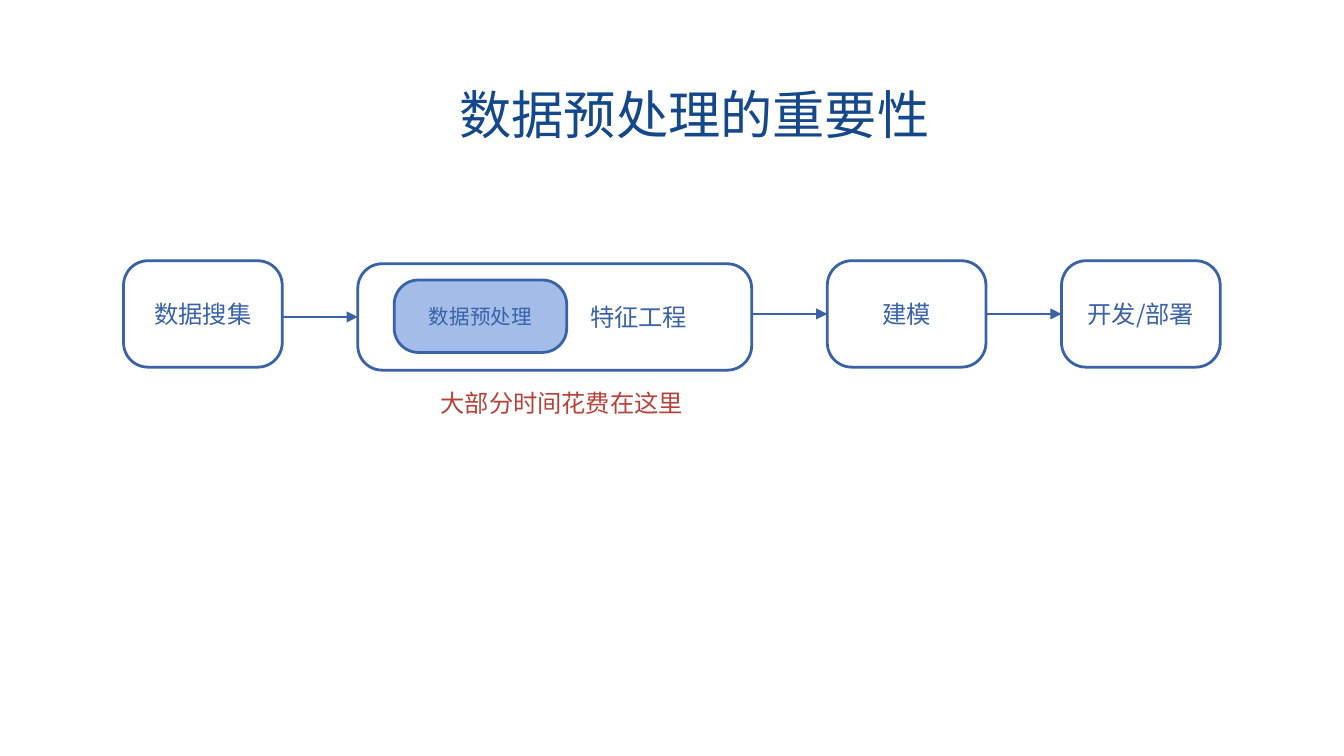
from dataclasses import dataclass

from lxml.etree import SubElement
from pptx import Presentation
from pptx.dml.color import RGBColor
from pptx.enum.shapes import MSO_CONNECTOR, MSO_SHAPE
from pptx.enum.text import MSO_ANCHOR, MSO_AUTO_SIZE, PP_ALIGN
from pptx.oxml.ns import qn
from pptx.util import Pt


@dataclass(frozen=True)
class Theme:
    font: str = "Noto Sans CJK SC"
    title: RGBColor = RGBColor(0x14, 0x48, 0x8A)
    blue: RGBColor = RGBColor(0x39, 0x62, 0xA7)
    highlight: RGBColor = RGBColor(0xA3, 0xBD, 0xE8)
    red: RGBColor = RGBColor(0xB5, 0x42, 0x39)
    white: RGBColor = RGBColor(0xFF, 0xFF, 0xFF)
    title_size: int = 28
    body_size: int = 13
    small_size: int = 11
    line_width: float = 1.5
    inset: float = 3.6
    corner: float = 13


THEME = Theme()

STEP_TOP = 139.7
STEP_HEIGHT = 57
STEP_GAP = 40.5
FEATURE_DROP = 1.6
FEATURE_INSET = 120.6
STEPS = [
    ("数据搜集", 85),
    ("特征工程", 211),
    ("建模", 85),
    ("开发/部署", 85),
]


def write_text(shape, text, size, color, align=PP_ALIGN.CENTER, anchor=MSO_ANCHOR.MIDDLE, wrap=True):
    frame = shape.text_frame
    frame.text = text
    frame.word_wrap = wrap
    frame.vertical_anchor = anchor
    frame.margin_left = frame.margin_right = Pt(THEME.inset)
    frame.margin_top = frame.margin_bottom = Pt(THEME.inset)
    para = frame.paragraphs[0]
    para.alignment = align
    for span in para.runs:
        span.font.size = Pt(size)
        span.font.name = THEME.font
        span.font.color.rgb = color
        SubElement(span.font._element, qn("a:ea"), typeface=THEME.font)
    return frame


def place(shape, left, top, width, height):
    shape.left, shape.top = Pt(left), Pt(top)
    shape.width, shape.height = Pt(width), Pt(height)


def format_title(page, text):
    title = page.shapes.title
    place(title, 242.6, 40.3, 260, 35.3)
    frame = write_text(title, text, THEME.title_size, THEME.title, PP_ALIGN.LEFT, MSO_ANCHOR.TOP, False)
    frame.auto_size = MSO_AUTO_SIZE.SHAPE_TO_FIT_TEXT


def add_caption(page, text, left, top, width, height):
    box = page.shapes.add_textbox(Pt(left), Pt(top), Pt(width), Pt(height))
    frame = write_text(box, text, THEME.body_size, THEME.red, anchor=MSO_ANCHOR.TOP, wrap=False)
    frame.auto_size = MSO_AUTO_SIZE.SHAPE_TO_FIT_TEXT


def add_rounded_box(page, text, left, top, width, height, fill=THEME.white, size=THEME.body_size):
    box = page.shapes.add_shape(MSO_SHAPE.ROUNDED_RECTANGLE, Pt(left), Pt(top), Pt(width), Pt(height))
    box.adjustments[0] = THEME.corner / height if height < STEP_HEIGHT else 0.23
    box.shadow.inherit = False
    box.fill.solid()
    box.fill.fore_color.rgb = fill
    box.line.color.rgb = THEME.blue
    box.line.width = Pt(THEME.line_width)
    write_text(box, text, size, THEME.blue)
    return box


def add_steps(page):
    boxes = []
    left = 66.2
    for text, width in STEPS:
        is_feature = text == "特征工程"
        top = STEP_TOP + (FEATURE_DROP if is_feature else 0)
        box = add_rounded_box(page, text, left, top, width, STEP_HEIGHT)
        if is_feature:
            box.text_frame.margin_left = Pt(FEATURE_INSET)
            box.text_frame.paragraphs[0].alignment = PP_ALIGN.LEFT
        boxes.append(box)
        left += width + STEP_GAP
    return boxes


def add_arrow(page, source, target):
    middle = target.top + target.height // 2
    arrow = page.shapes.add_connector(
        MSO_CONNECTOR.STRAIGHT, source.left + source.width, middle, target.left, middle
    )
    if source.top == target.top:
        arrow.begin_connect(source, 3)
    arrow.end_connect(target, 1)
    arrow.line.color.rgb = THEME.blue
    arrow.line.width = Pt(THEME.line_width)
    SubElement(arrow.line._get_or_add_ln(), qn("a:tailEnd"), type="triangle")
    SubElement(arrow._element.spPr, qn("a:effectLst"))


def main():
    deck = Presentation()
    deck.slide_width, deck.slide_height = Pt(720), Pt(405)
    page = deck.slides.add_slide(deck.slide_layouts[5])
    format_title(page, "数据预处理的重要性")
    boxes = add_steps(page)
    for source, target in zip(boxes, boxes[1:]):
        add_arrow(page, source, target)
    add_rounded_box(page, "数据预处理", 211.2, 150, 92.4, 38.8, THEME.highlight, THEME.small_size)
    add_caption(page, "大部分时间花费在这里", 231.8, 204.5, 138.2, 20.2)
    deck.save("out.pptx")


if __name__ == "__main__":
    main()
